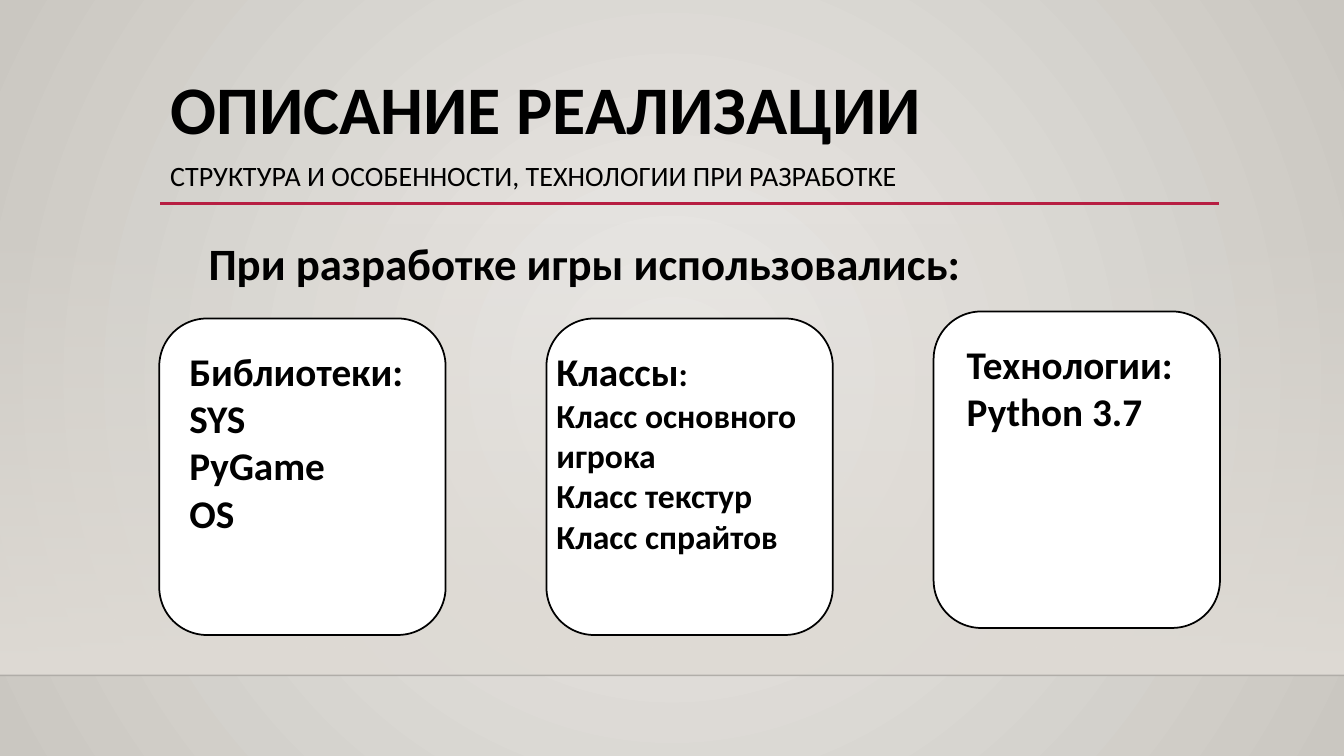
from dataclasses import dataclass

from lxml.etree import SubElement
from pptx import Presentation
from pptx.dml.color import RGBColor
from pptx.enum.shapes import MSO_CONNECTOR, MSO_SHAPE
from pptx.oxml import parse_xml
from pptx.oxml.ns import nsdecls, qn
from pptx.util import Inches, Pt


@dataclass(frozen=True)
class Theme:
    font: str = "Calibri"
    ink: str = "000000"
    accent: str = "B71E42"
    card: str = "FFFFFF"
    floor: str = "DFDBD5"
    glow: str = "ECEAE7"
    edge: str = "CAC7C1"
    title: float = 48.6
    subtitle: float = 20
    lead: float = 32
    heading: float = 28
    item: float = 24


THEME = Theme()
WIDTH, HEIGHT = 13.33, 7.5
CARD_W, CARD_H, CARD_STEP = 2.84, 3.14, 3.84

# Each card: top, text inset, text width, paragraphs as lists of (text, size)
CARDS = [
    (3.16, 0.2, 2.42, [[(t, THEME.heading)] for t in ("Библиотеки:", "SYS", "PyGame", "OS")]),
    (3.16, 0, 2.84, [[("Классы", THEME.heading), (":", THEME.item)]]
     + [[(t, THEME.item)] for t in ("Класс основного игрока", "Класс текстур", "Класс спрайтов")]),
    (3.09, 0.23, 2.27, [[(t, THEME.heading)] for t in ("Технологии:", "Python 3.7")]),
]


def set_gradient(fill, stops, direction):
    """Replace a fill by a gradient of (position, colour, opacity) stops."""
    fill.solid()
    gs = "".join(
        f'<a:gs pos="{pos * 1000}"><a:srgbClr val="{color}">'
        f'<a:alpha val="{opacity * 1000}"/></a:srgbClr></a:gs>'
        for pos, color, opacity in stops)
    gradient = parse_xml(
        f'<a:gradFill {nsdecls("a")} rotWithShape="1"><a:gsLst>{gs}</a:gsLst>{direction}</a:gradFill>')
    solid = fill.fore_color._xFill
    solid.getparent().replace(solid, gradient)


def add_rule(s, left, top, width, color, weight, opacity=100):
    line = s.shapes.add_connector(
        MSO_CONNECTOR.STRAIGHT, Inches(left), Inches(top), Inches(left + width), Inches(top))
    line.line.color.rgb = RGBColor.from_string(color)
    line.line.width = Pt(weight)
    if opacity < 100:
        clr = line.line._ln.find(".//" + qn("a:srgbClr"))
        SubElement(clr, qn("a:alpha"), val=str(opacity * 1000))
    SubElement(line._element.spPr, qn("a:effectLst"))


def add_text(s, left, top, width, height, paragraphs, bold=True, spacing=None):
    """Add a text box from paragraphs given as lists of (text, size) runs."""
    tf = s.shapes.add_textbox(Inches(left), Inches(top), Inches(width), Inches(height)).text_frame
    tf.word_wrap = True
    for i, runs in enumerate(paragraphs):
        p = tf.paragraphs[0] if i == 0 else tf.add_paragraph()
        p.line_spacing = spacing
        for text, size in runs:
            r = p.add_run()
            r.text = text
            r.font.name = THEME.font
            r.font.size = Pt(size)
            r.font.bold = bold
            r.font.color.rgb = RGBColor.from_string(THEME.ink)


def add_backdrop(s, horizon):
    set_gradient(
        s.background.fill, [(0, THEME.glow, 100), (100, THEME.edge, 100)],
        '<a:path path="circle"><a:fillToRect l="50000" t="50000" r="50000" b="50000"/></a:path>')
    wall_h = 4.49
    wall = s.shapes.add_shape(
        MSO_SHAPE.RECTANGLE, 0, Inches(horizon - wall_h), Inches(WIDTH), Inches(wall_h))
    wall.shadow.inherit = False
    wall.line.fill.background()
    set_gradient(wall.fill, [(0, THEME.floor, 0), (100, THEME.floor, 100)],
                 '<a:lin ang="5400000" scaled="0"/>')
    add_rule(s, 0, horizon, WIDTH, THEME.ink, 1, opacity=20)


def add_header(s, left, top, width):
    add_rule(s, left, top + 1.32, width, THEME.accent, 2.5)
    add_text(s, left, top, width, 0.85, [[("ОПИСАНИЕ РЕАЛИЗАЦИИ", THEME.title)]], spacing=0.9)
    add_text(s, left, top + 0.76, width, 0.5,
             [[("СТРУКТУРА И ОСОБЕННОСТИ, ТЕХНОЛОГИИ ПРИ РАЗРАБОТКЕ", THEME.subtitle)]],
             bold=False, spacing=1.2)


def add_card(s, left, top, inset, text_w, paragraphs):
    card = s.shapes.add_shape(
        MSO_SHAPE.ROUNDED_RECTANGLE, Inches(left), Inches(top), Inches(CARD_W), Inches(CARD_H))
    card.shadow.inherit = False
    card.fill.solid()
    card.fill.fore_color.rgb = RGBColor.from_string(THEME.card)
    card.line.color.rgb = RGBColor.from_string(THEME.ink)
    card.line.width = Pt(1.25)
    add_text(s, left + inset, top + 0.24, text_w, 2, paragraphs)


def main():
    prs = Presentation()
    prs.slide_width, prs.slide_height = Inches(WIDTH), Inches(HEIGHT)
    s = prs.slides.add_slide(prs.slide_layouts[6])
    add_backdrop(s, horizon=6.7)
    add_header(s, 1.59, 0.7, 10.5)
    add_text(s, 1.97, 2.29, 9.05, 0.64, [[("При разработке игры использовались:", THEME.lead)]])
    for i, (top, inset, text_w, paragraphs) in enumerate(CARDS):
        add_card(s, 1.58 + i * CARD_STEP, top, inset, text_w, paragraphs)
    prs.save("out.pptx")


if __name__ == "__main__":
    main()
